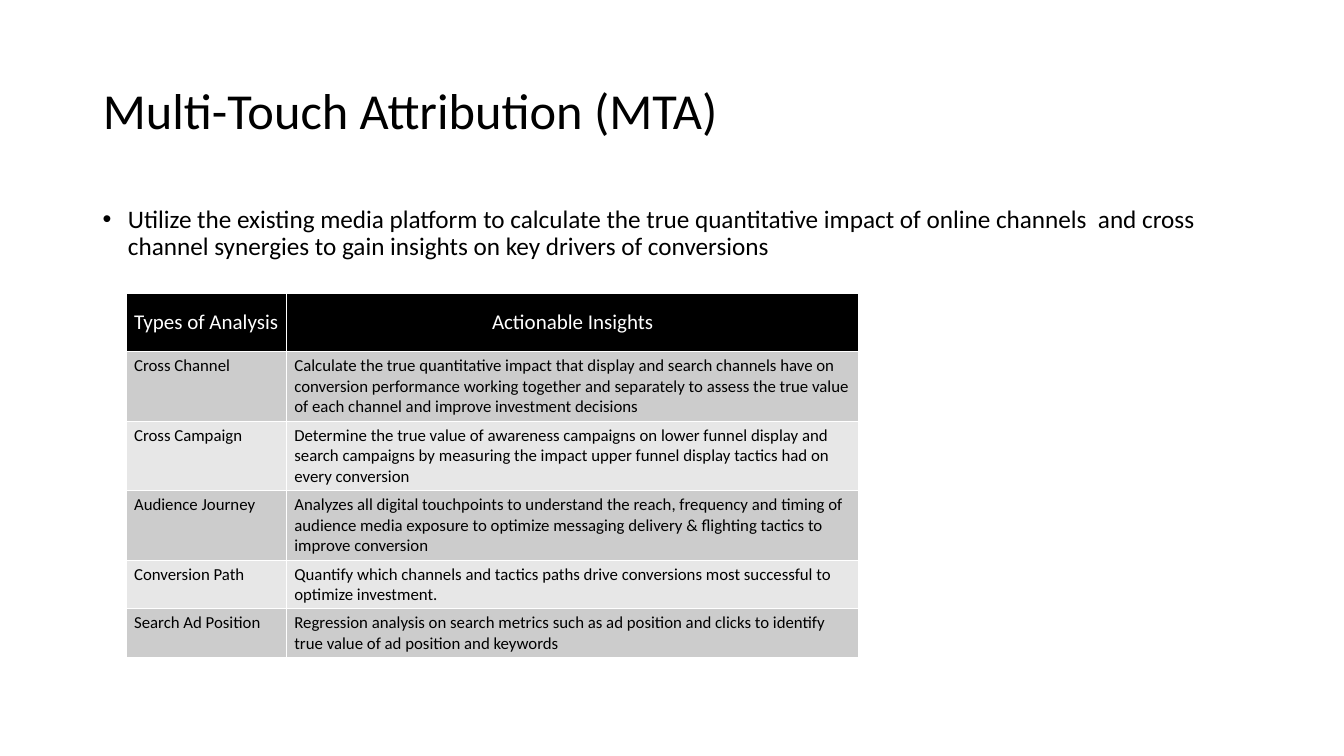
from lxml import etree
from pptx import Presentation
from pptx.dml.color import RGBColor
from pptx.enum.text import MSO_ANCHOR, PP_ALIGN
from pptx.oxml.ns import qn
from pptx.util import Inches, Pt

TITLE = "Multi-Touch Attribution (MTA)"
SUMMARY = (
    "Utilize the existing media platform to calculate the true quantitative impact of online "
    "channels  and cross channel synergies to gain insights on key drivers of conversions"
)
ANALYSES = [
    ("Types of Analysis", "Actionable Insights"),
    ("Cross Channel",
     "Calculate the true quantitative impact that display and search channels have on conversion "
     "performance working together and separately to assess the true value of each channel and "
     "improve investment decisions"),
    ("Cross Campaign",
     "Determine the true value of awareness campaigns on lower funnel display and search campaigns "
     "by measuring the impact upper funnel display tactics had on every conversion"),
    ("Audience Journey",
     "Analyzes all digital touchpoints to understand the reach, frequency and timing of audience "
     "media exposure to optimize messaging delivery & flighting tactics to improve conversion"),
    ("Conversion Path",
     "Quantify which channels and tactics paths drive conversions most successful to optimize "
     "investment."),
    ("Search Ad Position",
     "Regression analysis on search metrics such as ad position and clicks to identify true value "
     "of ad position and keywords"),
]

FONT = "Calibri"
BLACK = RGBColor(0x00, 0x00, 0x00)
WHITE = RGBColor(0xFF, 0xFF, 0xFF)
BANDS = (RGBColor(0xCC, 0xCC, 0xCC), RGBColor(0xE7, 0xE7, 0xE7))
LEFT, CENTER = PP_ALIGN.LEFT, PP_ALIGN.CENTER
TOP, MIDDLE = MSO_ANCHOR.TOP, MSO_ANCHOR.MIDDLE

SLIDE_WIDTH, SLIDE_HEIGHT = 13.33, 7.5
MARGIN = 0.92
CONTENT_WIDTH = SLIDE_WIDTH - 2 * MARGIN
TABLE_LEFT, TABLE_TOP = 1.25, 2.91
COLUMNS = (1.59, 5.68)
ROWS = (0.58, 0.69, 0.69, 0.69, 0.48, 0.48)


def write(frame, text, size, color, align=LEFT, anchor=TOP):
    frame.word_wrap = True
    frame.vertical_anchor = anchor
    para = frame.paragraphs[0]
    para.alignment = align
    span = para.add_run()
    span.text = text
    span.font.name = FONT
    span.font.size = Pt(size)
    span.font.color.rgb = color
    return para


def add_bullet(para, indent):
    props = para._p.get_or_add_pPr()
    props.set("marL", str(Inches(indent)))
    props.set("indent", str(-Inches(indent)))
    etree.SubElement(props, qn("a:buFont")).set("typeface", "Arial")
    etree.SubElement(props, qn("a:buChar")).set("char", "•")


def add_borders(cell, color, width):
    props = cell._tc.get_or_add_tcPr()
    for position, side in enumerate(("lnL", "lnR", "lnT", "lnB")):
        line = etree.Element(qn(f"a:{side}"), w=str(Pt(width)))
        fill = etree.SubElement(line, qn("a:solidFill"))
        etree.SubElement(fill, qn("a:srgbClr")).set("val", str(color))
        props.insert(position, line)


def add_title(page):
    title = page.shapes.title
    title.left, title.top = Inches(MARGIN), Inches(0.4)
    title.width, title.height = Inches(CONTENT_WIDTH), Inches(1.45)
    para = write(title.text_frame, TITLE, 36, BLACK, anchor=MIDDLE)
    para.line_spacing = 0.9


def add_summary(page):
    box = page.shapes.add_textbox(
        Inches(MARGIN), Inches(2), Inches(CONTENT_WIDTH), Inches(0.66))
    para = write(box.text_frame, SUMMARY, 18, BLACK)
    para.line_spacing = 0.9
    para.space_before = Pt(10)
    add_bullet(para, 0.25)


def add_analysis_table(page):
    table = page.shapes.add_table(
        len(ROWS), len(COLUMNS), Inches(TABLE_LEFT), Inches(TABLE_TOP),
        Inches(sum(COLUMNS)), Inches(sum(ROWS))).table
    for column, width in zip(table.columns, COLUMNS):
        column.width = Inches(width)
    for row, height in zip(table.rows, ROWS):
        row.height = Inches(height)
    for r, texts in enumerate(ANALYSES):
        for c, text in enumerate(texts):
            cell = table.cell(r, c)
            cell.margin_left = cell.margin_right = Inches(0.08)
            cell.margin_top = cell.margin_bottom = Inches(0.04)
            cell.fill.solid()
            if r == 0:
                cell.fill.fore_color.rgb = BLACK
                cell.vertical_anchor = MIDDLE
                para = write(cell.text_frame, text, 15, WHITE, CENTER, MIDDLE)
            else:
                cell.fill.fore_color.rgb = BANDS[(r - 1) % 2]
                para = write(cell.text_frame, text, 12, BLACK)
            para.runs[0].font.bold = False
            add_borders(cell, WHITE, 1)


def main():
    deck = Presentation()
    deck.slide_width, deck.slide_height = Inches(SLIDE_WIDTH), Inches(SLIDE_HEIGHT)
    page = deck.slides.add_slide(deck.slide_layouts[5])
    add_title(page)
    add_summary(page)
    add_analysis_table(page)
    deck.save("out.pptx")


if __name__ == "__main__":
    main()
